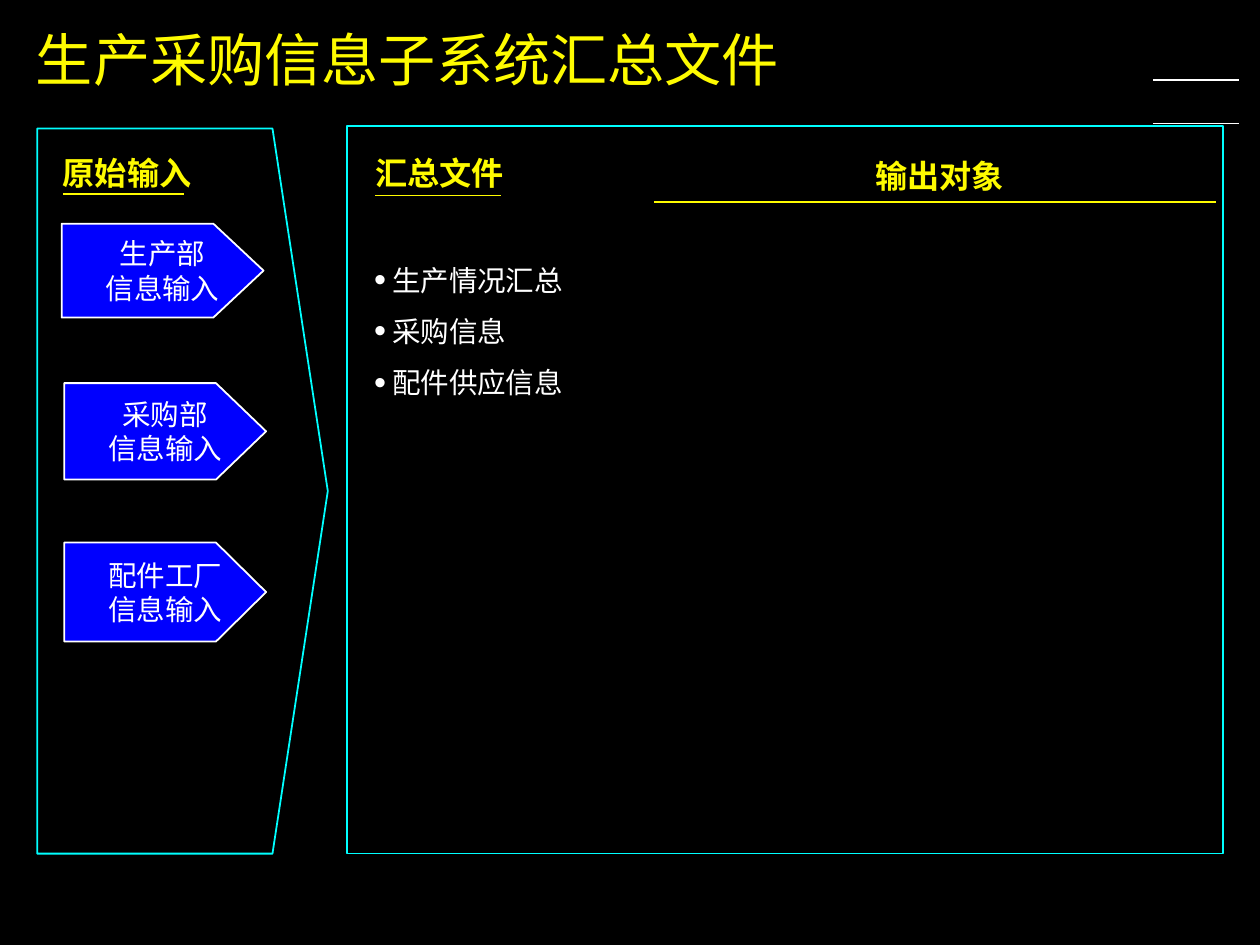
from dataclasses import dataclass

from lxml import etree
from pptx import Presentation
from pptx.dml.color import RGBColor
from pptx.enum import lang, shapes, text
from pptx.oxml import ns
from pptx.util import Inches, Pt


@dataclass(frozen=True)
class Theme:
    black: str = "000000"
    white: str = "FFFFFF"
    yellow: str = "FEFB00"
    cyan: str = "00FFFF"
    blue: str = "0000FE"
    title_font: str = "Noto Sans CJK SC"
    body_font: str = "Arial"
    title_size: int = 32
    heading_size: int = 18
    body_size: int = 16
    line_width: int = 1


@dataclass(frozen=True)
class Box:
    left: float
    top: float
    width: float
    height: float

    def lengths(self) -> list:
        return [Inches(v) for v in (self.left, self.top, self.width, self.height)]


@dataclass(frozen=True)
class Department:
    name: str
    box: Box


@dataclass(frozen=True)
class Heading:
    label: str
    box: Box


@dataclass(frozen=True)
class Rule:
    left: float
    right: float
    y: float
    color: str


THEME = Theme()
TITLE = "生产采购信息子系统汇总文件"
INPUT_PANEL = Box(0.29, 1, 2.26, 5.64)
SUMMARY_PANEL = Box(2.7, 0.98, 6.81, 5.66)
DEPARTMENTS = [
    Department("生产部", Box(0.48, 1.74, 1.57, 0.73)),
    Department("采购部", Box(0.5, 2.98, 1.57, 0.75)),
    Department("配件工厂", Box(0.5, 4.22, 1.57, 0.77)),
]
HEADINGS = [
    Heading("原始输入", Box(0.39, 1.14, 1.2, 0.4)),
    Heading("汇总文件", Box(2.82, 1.14, 2.03, 0.4)),
    Heading("输出对象", Box(6.71, 1.17, 2.03, 0.4)),
]
CORNER_RULES = [Rule(8.97, 9.64, y, THEME.white) for y in (0.62, 0.96)]
HEADING_RULES = [
    Rule(0.49, 1.43, 1.51, THEME.yellow),
    Rule(2.92, 3.9, 1.52, THEME.yellow),
    Rule(5.09, 9.46, 1.57, THEME.yellow),
]
SUMMARY_FILES = ["生产情况汇总", "采购信息", "配件供应信息"]


def set_line(line, color: str) -> None:
    line.color.rgb = RGBColor.from_string(color)
    line.width = Pt(THEME.line_width)


def write(frame, lines: list[str], size: int, color: str, font: str = THEME.body_font,
          bold: bool = False, align=text.PP_ALIGN.LEFT, anchor=text.MSO_ANCHOR.MIDDLE,
          wrap: bool = True, insets: tuple[float, float] = (0.1, 0.05)) -> None:
    side, end = (Inches(v) for v in insets)
    frame_format = {
        "margin_left": side, "margin_right": side, "margin_top": end,
        "margin_bottom": end, "vertical_anchor": anchor, "word_wrap": wrap,
        "auto_size": text.MSO_AUTO_SIZE.NONE,
    }
    for name, value in frame_format.items():
        setattr(frame, name, value)
    run_format = {"name": font, "size": Pt(size), "bold": bold,
                  "language_id": lang.MSO_LANGUAGE_ID.SIMPLIFIED_CHINESE}
    for i, line in enumerate(lines):
        paragraph = frame.paragraphs[0] if i == 0 else frame.add_paragraph()
        paragraph.alignment = align
        run = paragraph.add_run()
        run.text = line
        for name, value in run_format.items():
            setattr(run.font, name, value)
        run.font.color.rgb = RGBColor.from_string(color)
        # East Asian typeface follows the Latin one
        latin = run.font._element.find(ns.qn("a:latin"))
        east_asian = etree.Element(ns.qn("a:ea"), typeface=font)
        latin.addnext(east_asian)


def add_arrow_block(slide, box: Box, shoulder: float, fill: str, line: str):
    """Draw a pentagon pointing right; shoulder is the depth of its tip."""
    right, bottom = box.left + box.width, box.top + box.height
    corner = right - shoulder
    points = [(corner, box.top), (right, box.top + box.height / 2),
              (corner, bottom), (box.left, bottom)]
    builder = slide.shapes.build_freeform(Inches(box.left), Inches(box.top))
    builder.add_line_segments([(Inches(x), Inches(y)) for x, y in points], close=True)
    block = builder.convert_to_shape()
    block.shadow.inherit = False
    block.fill.solid()
    block.fill.fore_color.rgb = RGBColor.from_string(fill)
    set_line(block.line, line)
    return block


def add_rule(slide, rule: Rule) -> None:
    connector = slide.shapes.add_connector(
        shapes.MSO_CONNECTOR.STRAIGHT, Inches(rule.left), Inches(rule.y),
        Inches(rule.right), Inches(rule.y))
    set_line(connector.line, rule.color)
    etree.SubElement(connector._element.spPr, ns.qn("a:effectLst"))


def add_bullet(paragraph) -> None:
    properties = paragraph._p.get_or_add_pPr()
    properties.set("marL", str(Inches(0.15)))
    properties.set("indent", str(Inches(-0.14)))
    color = etree.SubElement(properties, ns.qn("a:buClr"))
    etree.SubElement(color, ns.qn("a:srgbClr"), val=THEME.white)
    etree.SubElement(properties, ns.qn("a:buSzPct"), val="120000")
    etree.SubElement(properties, ns.qn("a:buFont"), typeface=THEME.body_font)
    etree.SubElement(properties, ns.qn("a:buChar"), char="•")


def main() -> None:
    deck = Presentation()
    deck.slide_width, deck.slide_height = Inches(9.8), Inches(7.35)
    slide = deck.slides.add_slide(deck.slide_layouts[5])
    slide.background.fill.solid()
    slide.background.fill.fore_color.rgb = RGBColor.from_string(THEME.black)

    # Title
    title = slide.shapes.title
    title.left, title.top, title.width, title.height = Box(0.28, 0.19, 5.94, 0.53).lengths()
    write(title.text_frame, [TITLE], THEME.title_size, THEME.yellow, THEME.title_font,
          anchor=text.MSO_ANCHOR.TOP, insets=(0, 0))

    # Corner decoration
    for rule in CORNER_RULES:
        add_rule(slide, rule)

    # Input panel with its departments
    add_arrow_block(slide, INPUT_PANEL, 0.43, THEME.black, THEME.cyan)
    for department in DEPARTMENTS:
        block = add_arrow_block(slide, department.box, 0.39, THEME.blue, THEME.white)
        write(block.text_frame, [department.name, "信息输入"], THEME.body_size,
              THEME.white, align=text.PP_ALIGN.CENTER, wrap=False)

    # Column headings and their underlines
    for heading in HEADINGS:
        label = slide.shapes.add_textbox(*heading.box.lengths())
        write(label.text_frame, [heading.label], THEME.heading_size, THEME.yellow, bold=True)
    for rule in HEADING_RULES:
        add_rule(slide, rule)

    # Summary file list
    files = slide.shapes.add_textbox(*Box(2.9, 1.91, 1.57, 1.2).lengths())
    write(files.text_frame, SUMMARY_FILES, THEME.body_size, THEME.white,
          anchor=text.MSO_ANCHOR.TOP, insets=(0, 0))
    for paragraph in files.text_frame.paragraphs:
        paragraph.line_spacing = 1.5
        add_bullet(paragraph)

    # Summary panel frame
    panel = slide.shapes.add_shape(shapes.MSO_SHAPE.RECTANGLE, *SUMMARY_PANEL.lengths())
    panel.shadow.inherit = False
    panel.fill.background()
    set_line(panel.line, THEME.cyan)

    deck.save("out.pptx")


if __name__ == "__main__":
    main()
